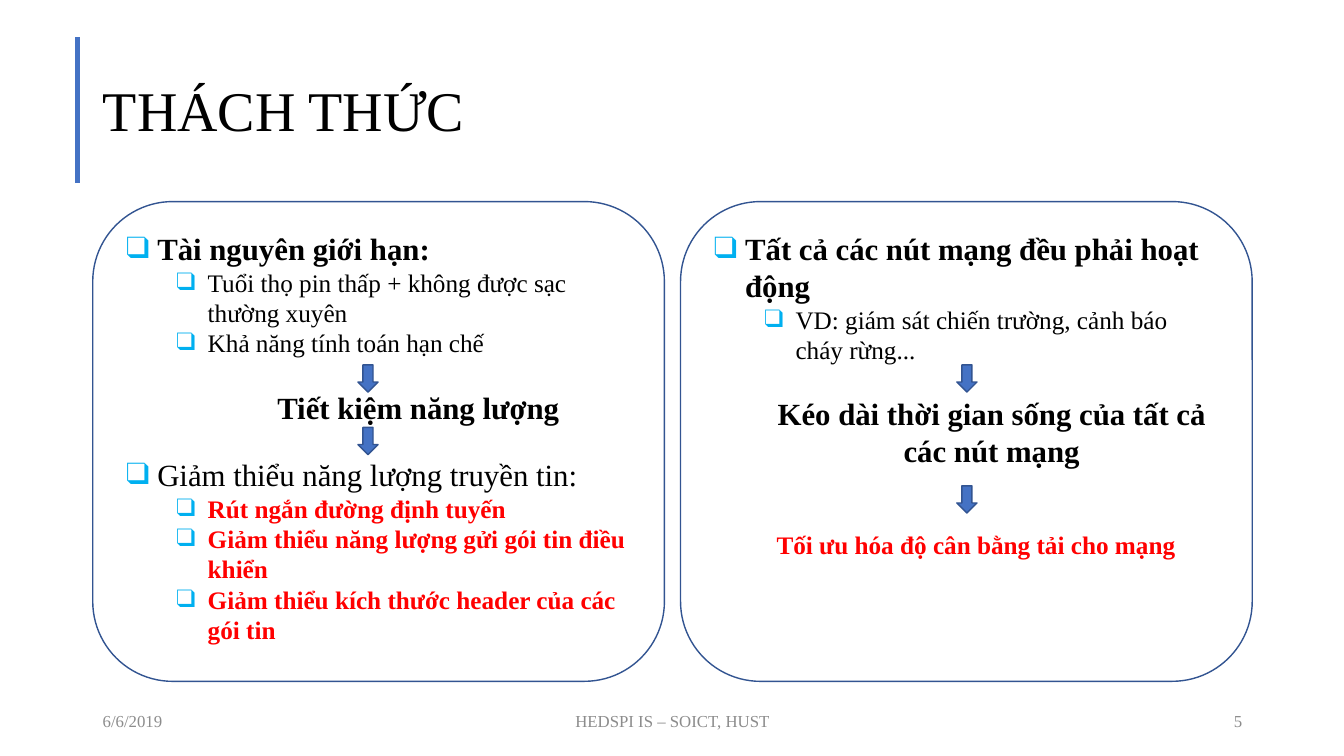
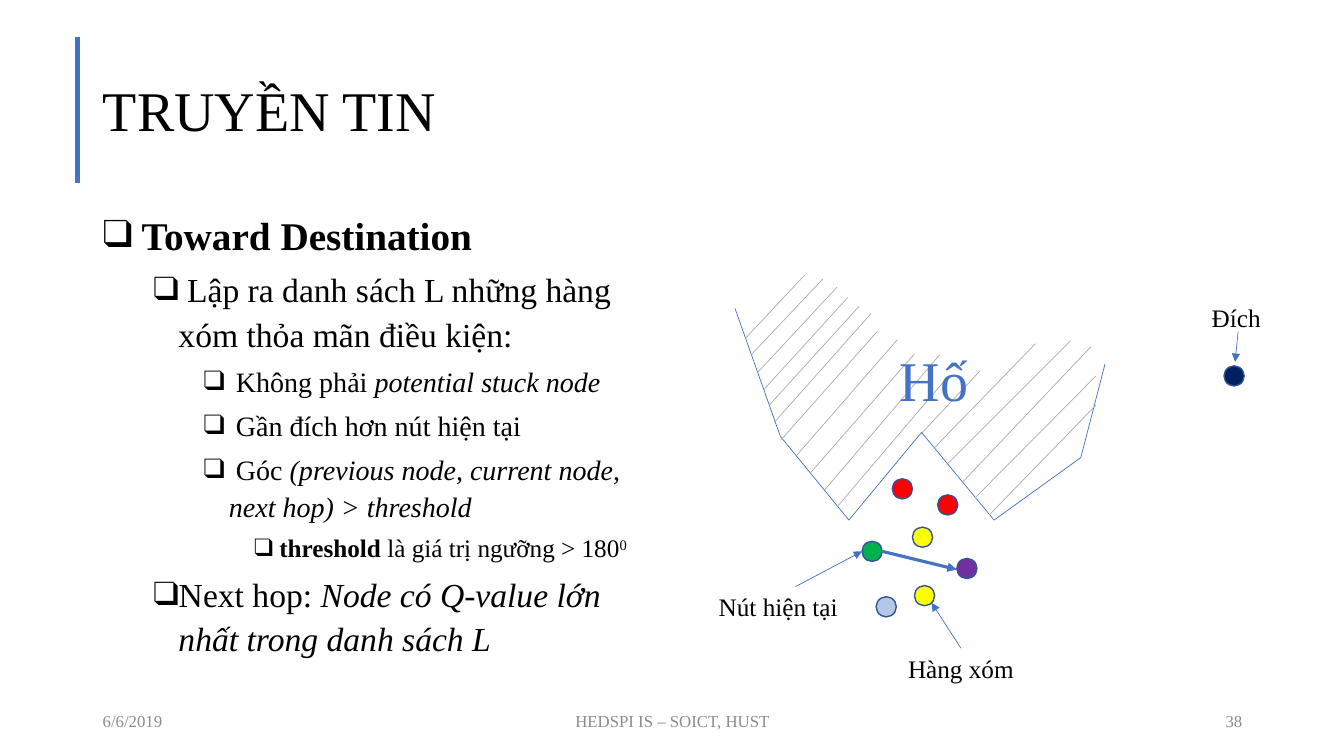
"""Build two slides on the challenges and routing of sensor networks."""
import lxml.etree
import pptx
import pptx.dml.color
import pptx.enum.shapes
import pptx.enum.text
import pptx.oxml.ns
import pptx.util

Inches = pptx.util.Inches
Pt = pptx.util.Pt
RGB = pptx.dml.color.RGBColor
SHAPE = pptx.enum.shapes.MSO_SHAPE
ALIGN = pptx.enum.text.PP_ALIGN
ANCHOR = pptx.enum.text.MSO_ANCHOR
qn = pptx.oxml.ns.qn

FONT = "Times New Roman"
BLACK = RGB(0x00, 0x00, 0x00)
GRAY = RGB(0x8C, 0x8C, 0x8C)
HATCH = RGB(0xAF, 0xAB, 0xAB)
BLUE = RGB(0x44, 0x72, 0xC4)
EDGE = RGB(0x32, 0x54, 0x91)
SKY = RGB(0x00, 0xB0, 0xF0)
PALE = RGB(0xB4, 0xC7, 0xE7)
NAVY = RGB(0x00, 0x20, 0x60)
RED = RGB(0xFF, 0x00, 0x00)
GREEN = RGB(0x00, 0xB0, 0x50)
YELLOW = RGB(0xFF, 0xFF, 0x00)
PURPLE = RGB(0x70, 0x30, 0xA0)


def write(frame, parts, size, hue=BLACK, bold=None, align=ALIGN.LEFT,
          left=0, hang=0, tint=None, level=0):
    """Add one paragraph of (text, look) parts, bulleted when it hangs."""
    para = frame.paragraphs[0]
    if para.runs:
        para = frame.add_paragraph()
    para.alignment = align
    para.level = level
    props = para._p.get_or_add_pPr()
    props.set("marL", str(Inches(left)))
    props.set("indent", str(-Inches(hang)))
    if tint is not None:
        fill = lxml.etree.SubElement(props, qn("a:buClr"))
        lxml.etree.SubElement(fill, qn("a:srgbClr"), val=str(tint))
    if hang:
        lxml.etree.SubElement(props, qn("a:buFont"), typeface=FONT)
        lxml.etree.SubElement(props, qn("a:buChar"), char="❑")
    else:
        lxml.etree.SubElement(props, qn("a:buNone"))
    para.font.name = FONT
    para.font.size = Pt(size)
    para.font.color.rgb = hue
    para.font.bold = bold
    for text, look in parts:
        run = para.add_run()
        run.text = text
        if look == "bold":
            run.font.bold = True
        elif look == "italic":
            run.font.italic = True
        elif look == "super":
            run._r.get_or_add_rPr().set("baseline", "30000")
    return para


def rule(slide, start, end, hue=BLUE, width=0.5, arrow=False):
    """Draw a straight line, with an arrowhead at its end if asked."""
    line = slide.shapes.add_connector(
        pptx.enum.shapes.MSO_CONNECTOR.STRAIGHT,
        *[Inches(v) for v in start + end])
    line.line.color.rgb = hue
    line.line.width = Pt(width)
    props = line.element.spPr
    if arrow:
        lxml.etree.SubElement(props.find(qn("a:ln")), qn("a:tailEnd"), type="triangle")
    lxml.etree.SubElement(props, qn("a:effectLst"))
    return line


deck = pptx.Presentation()
deck.slide_width = Inches(13.33)
deck.slide_height = Inches(7.5)
limits = deck.slides.add_slide(deck.slide_layouts[5])
routing = deck.slides.add_slide(deck.slide_layouts[1])

bar = rule(limits, (0.77, 0.37), (0.77, 1.82), width=3)
deck.slide_master.shapes.element.append(bar.element)

labels = []
for slide, name, number in [(limits, "THÁCH THỨC", "5"), (routing, "TRUYỀN TIN", "38")]:
    title = slide.shapes.title
    title.left, title.top = Inches(0.92), Inches(0.4)
    title.width, title.height = Inches(11.5), Inches(1.45)
    title.text_frame.vertical_anchor = ANCHOR.MIDDLE
    write(title.text_frame, [(name, "")], 40).line_spacing = 0.9
    labels += [
        (slide, "6/6/2019", 0.92, 6.95, 3, 0.4, 12, GRAY, ALIGN.LEFT),
        (slide, "HEDSPI IS – SOICT, HUST", 4.42, 6.95, 4.5, 0.4, 12, GRAY, ALIGN.CENTER),
        (slide, number, 9.42, 6.95, 3, 0.4, 12, GRAY, ALIGN.RIGHT),
    ]

head = dict(size=22, left=0.31, hang=0.31, tint=SKY)
sub = dict(size=18, left=0.81, hang=0.31, tint=SKY, level=1)
goal = dict(sub, hue=RED, bold=True)
panels = [
    (0.92, [
        ("Tài nguyên giới hạn:", dict(head, bold=True), 0),
        ("Tuổi thọ pin thấp + không được sạc thường xuyên", sub, 0),
        ("Khả năng tính toán hạn chế", sub, 0),
        ("Tiết kiệm năng lượng", dict(size=22, bold=True, left=1.5, level=1), 22),
        ("Giảm thiểu năng lượng truyền tin:", head, 22),
        ("Rút ngắn đường định tuyến", goal, 0),
        ("Giảm thiểu năng lượng gửi gói tin điều khiển", goal, 0),
        ("Giảm thiểu kích thước header của các gói tin", goal, 0),
    ]),
    (6.75, [
        ("Tất cả các nút mạng đều phải hoạt động", dict(head, bold=True), 0),
        ("VD: giám sát chiến trường, cảnh báo cháy rừng...", sub, 0),
        ("Kéo dài thời gian sống của tất cả các nút mạng",
         dict(size=22, bold=True, left=0.5, level=1, align=ALIGN.CENTER), 22),
        ("Tối ưu hóa độ cân bằng tải cho mạng",
         dict(size=18, hue=RED, bold=True, left=0.19, align=ALIGN.CENTER), 43),
    ]),
]
for x, rows in panels:
    panel = limits.shapes.add_shape(
        SHAPE.ROUNDED_RECTANGLE, Inches(x), Inches(2), Inches(5.67), Inches(4.76))
    panel.shadow.inherit = False
    panel.fill.background()
    panel.line.color.rgb = EDGE
    panel.line.width = Pt(1)
    panel.text_frame.word_wrap = True
    panel.text_frame.vertical_anchor = ANCHOR.TOP
    for text, style, gap in rows:
        para = write(panel.text_frame, [(text, "")], **style)
        if gap:
            para.space_before = Pt(gap)

body = routing.placeholders[1]
body.left, body.top = Inches(0.92), Inches(2)
body.width, body.height = Inches(5.67), Inches(4.76)
body.text_frame.auto_size = pptx.enum.text.MSO_AUTO_SIZE.NONE
steps = [
    (0, [(" Toward Destination", "bold")]),
    (1, [(" Lập ra danh sách L những hàng xóm thỏa mãn điều kiện:", "")]),
    (2, [(" Không phải ", ""), ("potential stuck node", "italic")]),
    (2, [(" Gần đích hơn nút hiện tại", "")]),
    (2, [(" Góc ", ""),
         ("(previous node, current node, next hop) > threshold", "italic")]),
    (3, [("threshold ", "bold"), ("là giá trị ngưỡng > 180", ""), ("0", "super")]),
    (1, [("Next hop: ", ""), ("Node có Q-value lớn nhất trong danh sách L", "italic")]),
]
for i, (level, parts) in enumerate(steps):
    para = write(body.text_frame, parts, (28, 24, 20, 18)[level],
                 left=0.25 + 0.5 * level, hang=0.25, level=level)
    para.line_spacing = 1.1
    para.space_before = Pt(5 if i else 0)

rim = [(7.29, 3.06), (7.74, 4.33), (8.42, 5.16), (9.14, 4.29),
       (9.86, 5.16), (10.72, 4.54), (10.96, 3.61)]
rim = [(Inches(x), Inches(y)) for x, y in rim]
path = routing.shapes.build_freeform(*rim[0])
path.add_line_segments(rim[1:], close=False)
hole = path.convert_to_shape()
hole.shadow.inherit = False
hole.fill.background()
hole.line.color.rgb = BLUE
hole.line.width = Pt(0.5)

strokes = [
    (7.98, 2.73, 7.39, 3.36), (8.16, 2.77, 7.45, 3.52), (8.3, 2.85, 7.52, 3.69),
    (8.41, 2.95, 7.58, 3.86), (8.52, 3.04, 7.63, 4.02), (8.64, 3.11, 7.68, 4.19),
    (8.7, 3.29, 7.75, 4.36), (8.9, 3.37, 7.9, 4.52), (9.07, 3.51, 8.04, 4.69),
    (9.32, 3.52, 8.18, 4.86), (9.39, 3.75, 8.31, 5.02), (9.72, 3.68, 9.13, 4.31),
    (10.27, 3.41, 9.27, 4.44), (10.62, 3.38, 9.39, 4.61), (10.82, 3.44, 9.55, 4.78),
    (10.87, 3.73, 9.67, 4.94), (10.87, 4.02, 9.81, 5.11),
]
for stroke in strokes:
    rule(routing, stroke[:2], stroke[2:], HATCH)

labels += [
    (routing, "Đích", 11.92, 2.95, 0.83, 0.4, 18, BLACK, ALIGN.LEFT),
    (routing, "Hố", 8.7, 3.38, 1.13, 0.77, 40, BLUE, ALIGN.CENTER),
    (routing, "Nút hiện tại", 7.03, 5.82, 1.72, 0.4, 18, BLACK, ALIGN.LEFT),
    (routing, "Hàng xóm", 8.89, 6.43, 1.28, 0.4, 18, BLACK, ALIGN.CENTER),
]
for slide, text, x, y, wide, high, size, hue, align in labels:
    box = slide.shapes.add_textbox(Inches(x), Inches(y), Inches(wide), Inches(high))
    box.text_frame.word_wrap = True
    box.text_frame.vertical_anchor = ANCHOR.MIDDLE
    write(box.text_frame, [(text, "")], size, hue, align=align)

marks = [(limits, SHAPE.DOWN_ARROW, x, y, 0.27, BLUE)
         for x, y in [(3.55, 3.62), (3.55, 4.24), (9.49, 3.62), (9.49, 4.82)]]
marks += [(routing, SHAPE.OVAL, x, y, 0.2, hue) for x, y, hue in [
    (12.14, 3.63, NAVY), (8.55, 5.37, GREEN), (9.05, 5.23, YELLOW),
    (9.07, 5.81, YELLOW), (8.69, 5.92, PALE), (9.3, 4.91, RED),
    (8.85, 4.75, RED), (9.49, 5.54, PURPLE)]]
for slide, kind, x, y, high, hue in marks:
    mark = slide.shapes.add_shape(kind, Inches(x), Inches(y), Inches(0.2), Inches(high))
    mark.shadow.inherit = False
    mark.fill.solid()
    mark.fill.fore_color.rgb = hue
    mark.line.color.rgb = EDGE
    mark.line.width = Pt(1)

for start, end, width in [
    ((12.28, 3.29), (12.25, 3.59), 0.5),
    ((7.89, 5.82), (8.55, 5.47), 0.5),
    ((9.53, 6.43), (9.24, 5.98), 0.5),
    ((8.75, 5.47), (9.49, 5.65), 2.25),
]:
    rule(routing, start, end, width=width, arrow=True)

deck.save("out.pptx")
